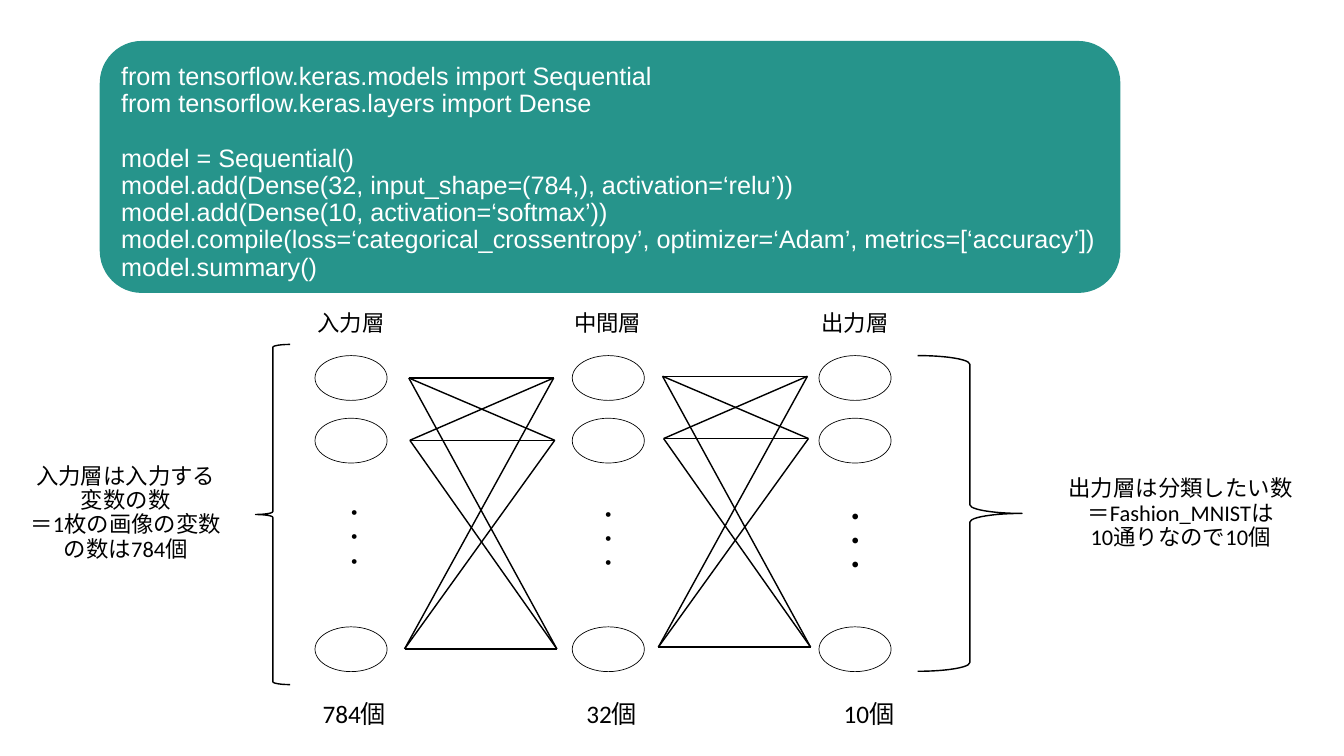
from itertools import product

from lxml import etree
from pptx import Presentation
from pptx.dml.color import RGBColor
from pptx.enum.shapes import MSO_CONNECTOR, MSO_SHAPE
from pptx.enum.text import MSO_ANCHOR, MSO_AUTO_SIZE, PP_ALIGN
from pptx.oxml.ns import qn
from pptx.util import Pt

ROUNDED, OVAL = MSO_SHAPE.ROUNDED_RECTANGLE, MSO_SHAPE.OVAL
LEFT_BRACE, RIGHT_BRACE = MSO_SHAPE.LEFT_BRACE, MSO_SHAPE.RIGHT_BRACE
STRAIGHT = MSO_CONNECTOR.STRAIGHT
LEFT, CENTER = PP_ALIGN.LEFT, PP_ALIGN.CENTER
MIDDLE = MSO_ANCHOR.MIDDLE
GROW = MSO_AUTO_SIZE.SHAPE_TO_FIT_TEXT

CODE = [
    "from tensorflow.keras.models import Sequential",
    "from tensorflow.keras.layers import Dense",
    "model = Sequential()",
    "model.add(Dense(32, input_shape=(784,), activation=‘relu’))",
    "model.add(Dense(10, activation=‘softmax’))",
    "model.compile(loss=‘categorical_crossentropy’, optimizer=‘Adam’, metrics=[‘accuracy’])",
    "model.summary()",
]
LAYERS = [
    dict(name="入力層", count="784個", x=450, name_x=387.5, count_x=397.5, dots=(392.5, 713)),
    dict(name="中間層", count="32個", x=817.5, name_x=754.5, count_x=765, dots=(755.5, 715.5)),
    dict(name="出力層", count="10個", x=1170, name_x=1108, count_x=1132.5, dots=(1108, 718.5)),
]
NODE_TOPS = [508, 597.5, 895.5]
LINK_STARTS = [(584, 540), (585.5, 629), (578, 927)]
LINK_ENDS = [(791, 540), (792.5, 629), (795.5, 927)]
LINK_OFFSETS = [(0, 0), (362.5, -2.5)]


def color(value):
    """Turn a hex string into a colour."""
    return RGBColor.from_string(value)


def write(tf, lines, size=32, font="Calibri", fill="000000", bold=None, align=CENTER, gaps=None):
    """Write one paragraph per line, with optional space before by line index."""
    for i, line in enumerate(lines):
        p = tf.paragraphs[0] if i == 0 else tf.add_paragraph()
        p.alignment = align
        p.line_spacing = 0.9
        if gaps and i in gaps:
            p.space_before = Pt(gaps[i])
        r = p.add_run()
        r.text = line
        r.font.size = Pt(size)
        r.font.name = font
        r.font.bold = bold
        r.font.color.rgb = color(fill)


class Canvas:
    """Holds the style and the current slide."""

    ink = "000000"
    inset = 4

    def __init__(self, s):
        """Keep the slide to draw on."""
        self.s = s

    def shape(self, kind, x, y, w, h, fill=None, line=None):
        """Add a preset shape."""
        sp = self.s.shapes.add_shape(kind, Pt(x), Pt(y), Pt(w), Pt(h))
        sp.shadow.inherit = False
        if fill:
            sp.fill.solid()
            sp.fill.fore_color.rgb = color(fill)
        else:
            sp.fill.background()
        if line:
            sp.line.color.rgb = color(self.ink)
            sp.line.width = Pt(line)
        else:
            sp.line.fill.background()

    def text(self, lines, x, y, w, h, **style):
        """Add a wrapped text box."""
        tf = self.s.shapes.add_textbox(Pt(x), Pt(y), Pt(w), Pt(h)).text_frame
        tf.word_wrap = True
        tf.auto_size = GROW
        tf.vertical_anchor = MIDDLE
        tf.margin_left = tf.margin_right = Pt(self.inset)
        tf.margin_top = tf.margin_bottom = Pt(self.inset)
        write(tf, lines, **style)

    def link(self, x1, y1, x2, y2):
        """Add a straight line."""
        c = self.s.shapes.add_connector(STRAIGHT, Pt(x1), Pt(y1), Pt(x2), Pt(y2))
        c.line.color.rgb = color(self.ink)
        c.line.width = Pt(2)
        etree.SubElement(c._element.spPr, qn("a:effectLst"))


def main():
    """Build the neural network slide."""
    prs = Presentation()
    prs.slide_width, prs.slide_height = Pt(1920), Pt(1080)
    canvas = Canvas(prs.slides.add_slide(prs.slide_layouts[6]))

    canvas.shape(ROUNDED, 142.5, 58.5, 1458, 360, fill="26948B")
    canvas.text(CODE, 169, 85.5, 1501, 322, size=36, font="Arial",
                fill="FFFFFF", align=LEFT, gaps={2: 39})

    for i, layer in enumerate(LAYERS):
        for y in NODE_TOPS:
            canvas.shape(OVAL, layer["x"], y, 103, 64, line=1)
        canvas.text([layer["name"]], layer["name_x"], 441.5, 227.5, 43)
        canvas.text([layer["count"]], layer["count_x"], 998, 217.5, 47.5, size=36)
        canvas.text(["・"] * 3, *layer["dots"], 227.5, 113, bold=i == 2)

    for dx, dy in LINK_OFFSETS:
        for (x1, y1), (x2, y2) in product(LINK_STARTS, LINK_ENDS):
            canvas.link(x1 + dx, y1 + dy, x2 + dx, y2 + dy)

    canvas.shape(RIGHT_BRACE, 1311, 508, 149, 451, line=2)
    canvas.text(["出力層は分類したい数", "＝Fashion_MNISTは", "10通りなので10個"],
                1499, 677.5, 375, 113)
    canvas.text(["入力層は入力する変数の数", "＝1枚の画像の変数の数は784個"],
                34, 660, 291.5, 147.5)
    canvas.shape(LEFT_BRACE, 365, 492, 49.5, 486, line=2)
    prs.save("out.pptx")


if __name__ == "__main__":
    main()
